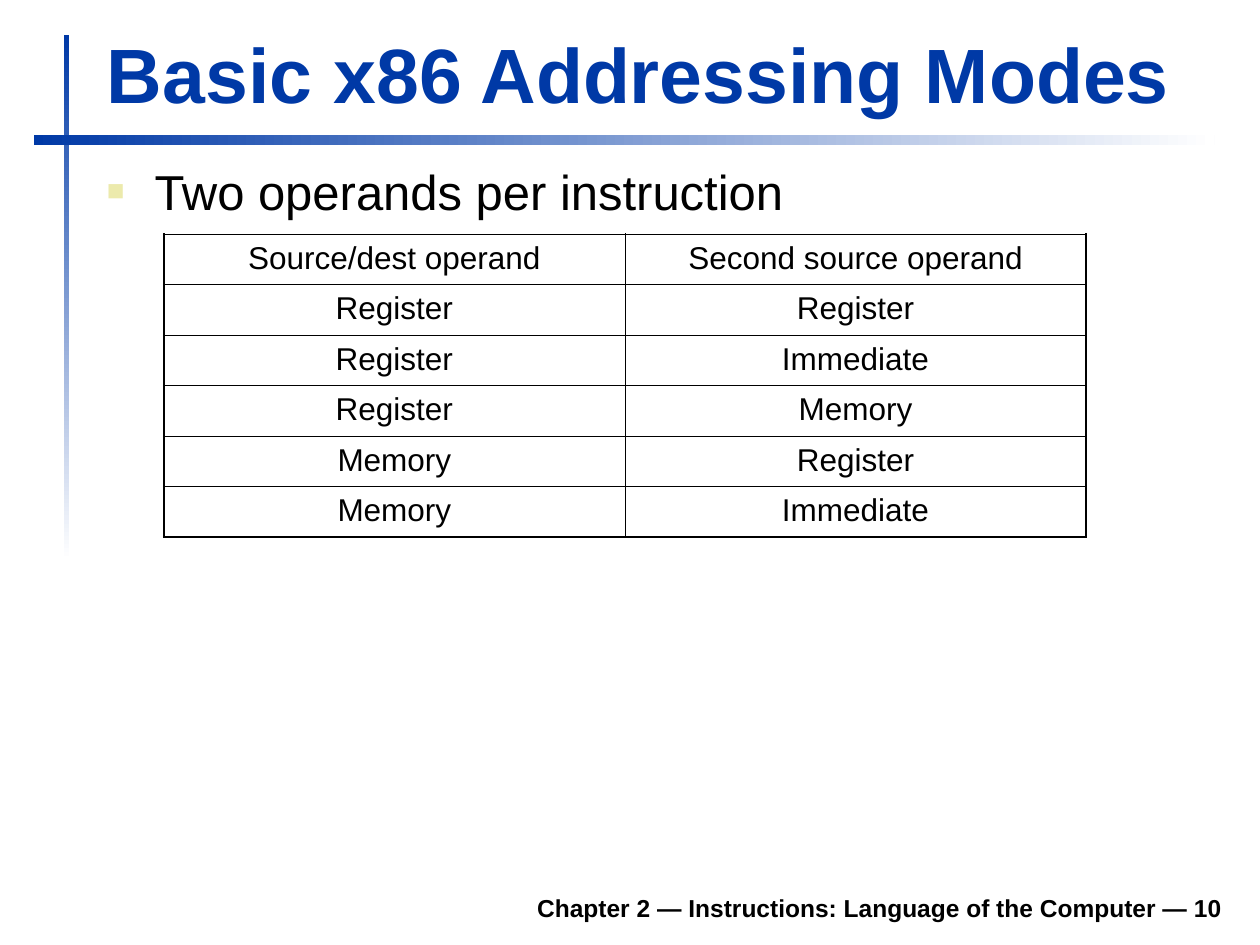
from lxml import etree
from pptx import Presentation
from pptx.dml.color import RGBColor
from pptx.enum.shapes import MSO_SHAPE
from pptx.enum.text import MSO_ANCHOR, PP_ALIGN
from pptx.oxml.ns import qn
from pptx.util import Inches, Pt

RECTANGLE = MSO_SHAPE.RECTANGLE
TOP, BOTTOM = MSO_ANCHOR.TOP, MSO_ANCHOR.BOTTOM
LEFT, CENTER, RIGHT = PP_ALIGN.LEFT, PP_ALIGN.CENTER, PP_ALIGN.RIGHT

BLUE = RGBColor(0x00, 0x39, 0xA6)
WHITE = RGBColor(0xFF, 0xFF, 0xFF)
BLACK = RGBColor(0x00, 0x00, 0x00)
BULLET_COLOR = RGBColor(0xEC, 0xEA, 0xAC)

FONT = "Arial"
OUTER_BORDER, INNER_BORDER = Pt(1.08), Pt(0.45)

OPERANDS = [
    ("Source/dest operand", "Second source operand"),
    ("Register", "Register"),
    ("Register", "Immediate"),
    ("Register", "Memory"),
    ("Memory", "Register"),
    ("Memory", "Immediate"),
]


def write_text(paragraph, text, size, color=BLACK, bold=False, align=LEFT):
    paragraph.alignment = align
    run = paragraph.add_run()
    run.text = text
    font_format = {"name": FONT, "size": Pt(size), "bold": bold}
    for name, value in font_format.items():
        setattr(run.font, name, value)
    run.font.color.rgb = color


def add_text(slide, box, text, size, anchor=TOP, **text_format):
    shape = slide.shapes.add_textbox(*map(Inches, box))
    frame = shape.text_frame
    frame.word_wrap = True
    frame.vertical_anchor = anchor
    paragraph = frame.paragraphs[0]
    write_text(paragraph, text, size, **text_format)
    return paragraph


def add_bullet(paragraph, indent):
    properties = paragraph._p.get_or_add_pPr()
    properties.set("marL", str(indent))
    properties.set("indent", str(-indent))
    color = etree.SubElement(properties, qn("a:buClr"))
    etree.SubElement(color, qn("a:srgbClr"), val=str(BULLET_COLOR))
    etree.SubElement(properties, qn("a:buSzPct"), val="60000")
    etree.SubElement(properties, qn("a:buFont"), typeface=FONT)
    etree.SubElement(properties, qn("a:buChar"), char="■")


def add_fading_bar(slide, box, angle):
    bar = slide.shapes.add_shape(RECTANGLE, *map(Inches, box))
    bar.shadow.inherit = False
    bar.line.fill.background()
    bar.fill.gradient()
    bar.fill.gradient_angle = angle
    for stop, color in zip(bar.fill.gradient_stops, (BLUE, WHITE)):
        stop.color.rgb = color


def set_borders(cell, widths):
    properties = cell._tc.get_or_add_tcPr()
    for side, width in widths.items():
        line = etree.SubElement(properties, qn(f"a:ln{side}"), w=str(width))
        fill = etree.SubElement(line, qn("a:solidFill"))
        etree.SubElement(fill, qn("a:srgbClr"), val=str(BLACK))


def add_operand_table(slide, left, top, column_width, row_height):
    row_count, column_count = len(OPERANDS), len(OPERANDS[0])
    table = slide.shapes.add_table(
        row_count, column_count, Inches(left), Inches(top),
        Inches(column_width * column_count), Inches(row_height * row_count),
    ).table
    table.first_row = table.horz_banding = False

    for row, texts in enumerate(OPERANDS):
        for column, text in enumerate(texts):
            cell = table.cell(row, column)
            paragraph = cell.text_frame.paragraphs[0]
            paragraph.space_before = Pt(4.5)
            write_text(paragraph, text, 18, align=CENTER)
            # The frame of the table is heavier than its inner grid
            on_edge = {
                "L": column == 0,
                "R": column == column_count - 1,
                "T": row == 0,
                "B": row == row_count - 1,
            }
            set_borders(cell, {
                side: OUTER_BORDER if outer else INNER_BORDER
                for side, outer in on_edge.items()
            })
            cell.fill.background()


def main():
    presentation = Presentation()
    presentation.slide_width = Inches(10)
    presentation.slide_height = Inches(7.5)
    slide = presentation.slides.add_slide(presentation.slide_layouts[6])

    # Crossed bars; gradient angles run counter-clockwise
    add_fading_bar(slide, (0.51, 0.28, 0.04, 4.17), angle=270)
    add_fading_bar(slide, (0.27, 1.07, 9.37, 0.08), angle=0)

    # Footer and title
    add_text(slide, (1.85, 6.98, 7.95, 0.39),
             "Chapter 2 — Instructions: Language of the Computer — 10",
             14, anchor=BOTTOM, bold=True, align=RIGHT)
    add_text(slide, (0.75, 0.16, 9.03, 0.83), "Basic x86 Addressing Modes",
             44, anchor=BOTTOM, color=BLUE, bold=True)

    # Bullet point
    point = add_text(slide, (0.75, 1.23, 9.04, 0.71),
                     "Two operands per instruction", 28)
    point.space_before = Pt(7)
    add_bullet(point, Inches(0.38))

    # Operand combinations
    add_operand_table(slide, 1.3, 1.86, column_width=3.66, row_height=0.4)

    presentation.save("out.pptx")


if __name__ == "__main__":
    main()
